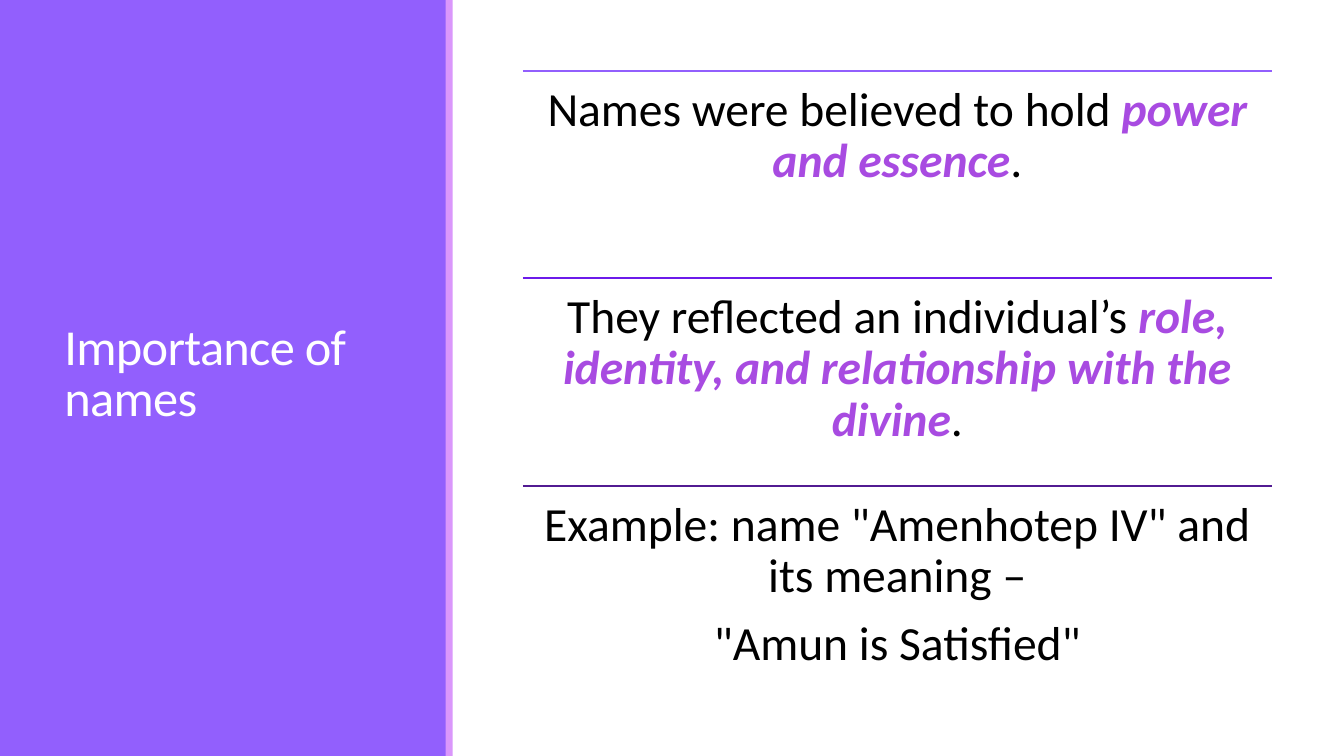
from dataclasses import dataclass

from lxml.etree import SubElement
from pptx import Presentation
from pptx.dml.color import RGBColor
from pptx.enum.shapes import MSO_CONNECTOR, MSO_SHAPE
from pptx.enum.text import MSO_ANCHOR, MSO_AUTO_SIZE, PP_ALIGN
from pptx.oxml.ns import qn
from pptx.util import Cm, Pt

TITLE = "Importance of names"

# Each point: rule colour, then paragraphs made of (text, emphasised) pieces
POINTS = [
    ("925FFD", [[("Names were believed to hold ", False),
                 ("power and essence", True), (".", False)]]),
    ("6C1BEA", [[("They reflected an individual’s ", False),
                 ("role, identity, and relationship with the divine", True),
                 (".", False)]]),
    ("521B92", [[('Example: name "Amenhotep IV" and its meaning –', False)],
                [('"Amun is Satisfied"', False)]]),
]


@dataclass(frozen=True)
class Theme:
    font: str = "Calibri"
    panel: str = "925FFD"
    stripe: str = "DA97FB"
    title: str = "FFFFFF"
    text: str = "000000"
    emphasis: str = "A84BE1"
    title_size: int = 36
    text_size: int = 34
    rule_width: float = 1.25


THEME = Theme()
SLIDE_WIDTH, SLIDE_HEIGHT = Cm(33.87), Cm(19.05)
PANEL_WIDTH = Cm(11.25)
STRIPE_LEFT, STRIPE_WIDTH = Cm(11.23), Cm(0.18)
POINTS_LEFT, POINTS_TOP, POINTS_WIDTH = Cm(13.18), Cm(1.78), Cm(18.87)
POINT_HEIGHT = Cm(5.23)
POINT_INSET = Cm(0.36)


def rgb(colour):
    return RGBColor.from_string(colour)


def style(font, size, colour):
    font.name, font.size = THEME.font, Pt(size)
    font.color.rgb = rgb(colour)


def add_band(slide, left, width, colour):
    """Add a full-height band behind the title."""
    band = slide.shapes.add_shape(MSO_SHAPE.RECTANGLE, left, 0, width, SLIDE_HEIGHT)
    band.shadow.inherit = False
    band.fill.solid()
    band.fill.fore_color.rgb = rgb(colour)
    band.line.fill.background()
    title = slide.shapes.title._element
    title.addprevious(band._element)


def format_title(slide):
    title = slide.shapes.title
    title.left, title.top = Cm(1.37), Cm(1.45)
    title.width, title.height = Cm(8.56), Cm(16.03)
    frame = title.text_frame
    frame.text = TITLE
    frame.auto_size = MSO_AUTO_SIZE.NONE
    frame.vertical_anchor = MSO_ANCHOR.MIDDLE
    heading = frame.paragraphs[0]
    heading.alignment = PP_ALIGN.LEFT
    heading.line_spacing = 0.85
    style(heading.font, THEME.title_size, THEME.title)
    heading.runs[0].font._element.set("spc", "-50")


def add_rule(slide, top, colour):
    rule = slide.shapes.add_connector(
        MSO_CONNECTOR.STRAIGHT, POINTS_LEFT, top, POINTS_LEFT + POINTS_WIDTH, top)
    rule.line.color.rgb = rgb(colour)
    rule.line.width = Pt(THEME.rule_width)
    SubElement(rule._element.spPr, qn("a:effectLst"))


def add_point(slide, top, paragraphs):
    frame = slide.shapes.add_textbox(
        POINTS_LEFT, top, POINTS_WIDTH, POINT_HEIGHT).text_frame
    frame.word_wrap = True
    frame.margin_left = frame.margin_right = POINT_INSET
    frame.margin_top = frame.margin_bottom = POINT_INSET
    for index, pieces in enumerate(paragraphs):
        paragraph = frame.add_paragraph() if index else frame.paragraphs[0]
        paragraph.alignment = PP_ALIGN.CENTER
        paragraph.line_spacing = 0.9
        paragraph.space_after = Pt(12)
        style(paragraph.font, THEME.text_size, THEME.text)
        for text, emphasised in pieces:
            run = paragraph.add_run()
            run.text = text
            if emphasised:
                run.font.bold = run.font.italic = True
                run.font.color.rgb = rgb(THEME.emphasis)


def main():
    deck = Presentation()
    deck.slide_width, deck.slide_height = SLIDE_WIDTH, SLIDE_HEIGHT
    slide = deck.slides.add_slide(deck.slide_layouts.get_by_name("Title Only"))
    add_band(slide, 0, PANEL_WIDTH, THEME.panel)
    add_band(slide, STRIPE_LEFT, STRIPE_WIDTH, THEME.stripe)
    format_title(slide)
    for index, (rule_colour, paragraphs) in enumerate(POINTS):
        top = POINTS_TOP + index * POINT_HEIGHT
        add_rule(slide, top, rule_colour)
        add_point(slide, top, paragraphs)
    deck.save("out.pptx")


if __name__ == "__main__":
    main()
